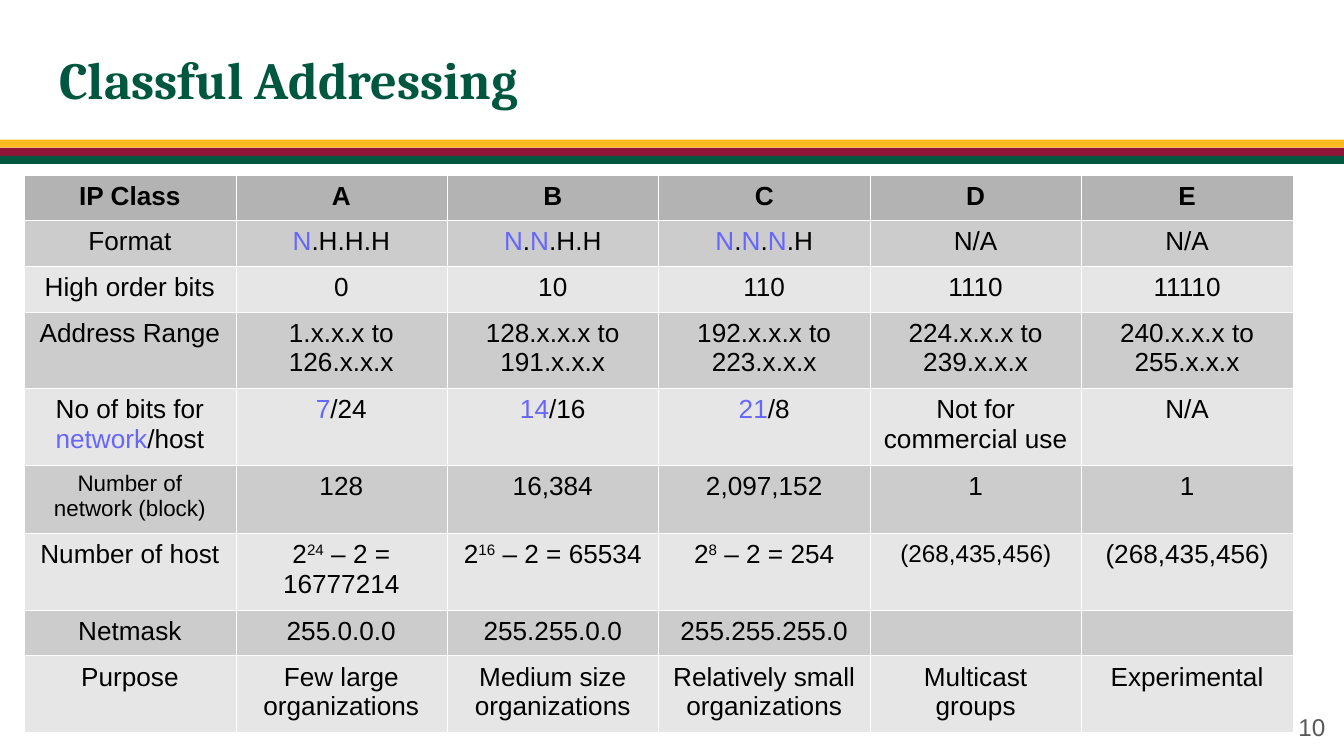
import lxml.etree
import pptx
import pptx.dml.color
import pptx.enum.shapes
import pptx.enum.text
import pptx.oxml.ns
import pptx.util

Inches = pptx.util.Inches
PP_ALIGN = pptx.enum.text.PP_ALIGN
MSO_ANCHOR = pptx.enum.text.MSO_ANCHOR
qn = pptx.oxml.ns.qn

COLORS = {
    "gold": "FFB81D",
    "maroon": "8E1537",
    "green": "005740",
    "text": "000000",
    "network": "6666FF",
    "number": "595959",
    "border": "FFFFFF",
    "header": "B3B3B3",
    "dark_row": "CCCCCC",
    "light_row": "E6E6E6",
}

NETWORK_MARK = "*"
SUPERSCRIPT_MARK = "^"
ROWS = [
    ["IP Class", "A", "B", "C", "D", "E"],
    ["Format", "*N*.H.H.H", "*N*.*N*.H.H", "*N*.*N*.*N*.H", "N/A", "N/A"],
    ["High order bits", "0", "10", "110", "1110", "11110"],
    ["Address Range", "1.x.x.x to 126.x.x.x", "128.x.x.x to 191.x.x.x",
     "192.x.x.x to 223.x.x.x", "224.x.x.x to 239.x.x.x", "240.x.x.x to 255.x.x.x"],
    ["No of bits for *network*/host", "*7*/24", "*14*/16", "*21*/8",
     "Not for commercial use", "N/A"],
    ["Number of network (block)", "128", "16,384", "2,097,152", "1", "1"],
    ["Number of host", "2^24^ – 2 = 16777214", "2^16^ – 2 = 65534",
     "2^8^ – 2 = 254", "(268,435,456)", "(268,435,456)"],
    ["Netmask", "255.0.0.0", "255.255.0.0", "255.255.255.0", "", ""],
    ["Purpose", "Few large organizations", "Medium size organizations",
     "Relatively small organizations", "Multicast groups", "Experimental"],
]
ROW_HEIGHTS = [0.34, 0.34, 0.34, 0.57, 0.57, 0.51, 0.57, 0.34, 0.57]
TABLE_WIDTH = 9.44
SMALL_SIZES = {(5, 0): 12, (6, 4): 13}


def rgb(name):
    return pptx.dml.color.RGBColor.from_string(COLORS[name])


def set_attributes(target, values):
    for name, value in values.items():
        setattr(target, name, value)


def add_run(paragraph, text, color, size, font="Arial", bold=False):
    run = paragraph.add_run()
    run.text = text
    set_attributes(run.font, {"name": font, "size": pptx.util.Pt(size), "bold": bold})
    run.font.color.rgb = rgb(color)
    return run


def format_frame(text_frame, alignment, anchor):
    set_attributes(text_frame, {
        "word_wrap": True,
        "auto_size": pptx.enum.text.MSO_AUTO_SIZE.NONE,
        "vertical_anchor": anchor,
        "margin_left": Inches(0.1),
        "margin_right": Inches(0.1),
        "margin_top": Inches(0.1),
        "margin_bottom": Inches(0.1),
    })
    paragraph = text_frame.paragraphs[0]
    paragraph.alignment = alignment
    return paragraph


def add_title(slide, text):
    title = slide.shapes.title
    set_attributes(title, {"left": Inches(0.34), "top": Inches(0.25),
                           "width": Inches(7.87), "height": Inches(0.74)})
    paragraph = format_frame(title.text_frame, PP_ALIGN.LEFT, MSO_ANCHOR.TOP)
    add_run(paragraph, text, "green", 28, "Cambria", True)


def add_stripes(slide):
    for index, color in enumerate(["gold", "maroon", "green"]):
        stripe = slide.shapes.add_shape(
            pptx.enum.shapes.MSO_SHAPE.RECTANGLE,
            Inches(0), Inches(1.04 + index * 0.06), Inches(10), Inches(0.06))
        stripe.shadow.inherit = False
        stripe.fill.solid()
        stripe.fill.fore_color.rgb = rgb(color)
        stripe.line.fill.background()


def add_slide_number(slide, text):
    box = slide.shapes.add_textbox(Inches(9.36), Inches(5.19), Inches(0.6), Inches(0.43))
    paragraph = format_frame(box.text_frame, PP_ALIGN.RIGHT, MSO_ANCHOR.MIDDLE)
    add_run(paragraph, text, "number", 13)


def add_borders(cell):
    properties = cell._tc.get_or_add_tcPr()
    for side in ["lnL", "lnR", "lnT", "lnB"]:
        line = lxml.etree.SubElement(properties, qn(f"a:{side}"), w="762")
        fill = lxml.etree.SubElement(line, qn("a:solidFill"))
        lxml.etree.SubElement(fill, qn("a:srgbClr"), val=COLORS["border"])


def write_cell(cell, text, size, bold, fill):
    add_borders(cell)
    cell.fill.solid()
    cell.fill.fore_color.rgb = rgb(fill)
    set_attributes(cell, {"margin_left": Inches(0.1), "margin_right": Inches(0.1),
                          "margin_top": Inches(0.05), "margin_bottom": Inches(0.05)})
    paragraph = cell.text_frame.paragraphs[0]
    paragraph.alignment = PP_ALIGN.CENTER
    if not text:
        lxml.etree.SubElement(paragraph._p, qn("a:endParaRPr"), sz=str(size * 100))
    for part_index, part in enumerate(text.split(NETWORK_MARK)):
        color = "network" if part_index % 2 else "text"
        for piece_index, piece in enumerate(part.split(SUPERSCRIPT_MARK)):
            if piece:
                run = add_run(paragraph, piece, color, size, bold=bold)
                if piece_index % 2:
                    run._r.get_or_add_rPr().set("baseline", "33000")


def add_class_table(slide):
    column_count = len(ROWS[0])
    table = slide.shapes.add_table(
        len(ROWS), column_count, Inches(0.18), Inches(1.3),
        Inches(TABLE_WIDTH), Inches(sum(ROW_HEIGHTS))).table
    for column in table.columns:
        column.width = Inches(TABLE_WIDTH / column_count)
    for row_index, texts in enumerate(ROWS):
        table.rows[row_index].height = Inches(ROW_HEIGHTS[row_index])
        is_header = row_index == 0
        fill = "header" if is_header else "dark_row" if row_index % 2 else "light_row"
        for column_index, text in enumerate(texts):
            size = SMALL_SIZES.get((row_index, column_index), 14)
            write_cell(table.cell(row_index, column_index), text, size, is_header, fill)


def main():
    presentation = pptx.Presentation()
    set_attributes(presentation, {"slide_width": Inches(10),
                                  "slide_height": Inches(10 * 9 / 16)})
    slide = presentation.slides.add_slide(presentation.slide_layouts[5])
    add_stripes(slide)
    add_title(slide, "Classful Addressing")
    add_slide_number(slide, "10")
    add_class_table(slide)
    presentation.save("out.pptx")


if __name__ == "__main__":
    main()
